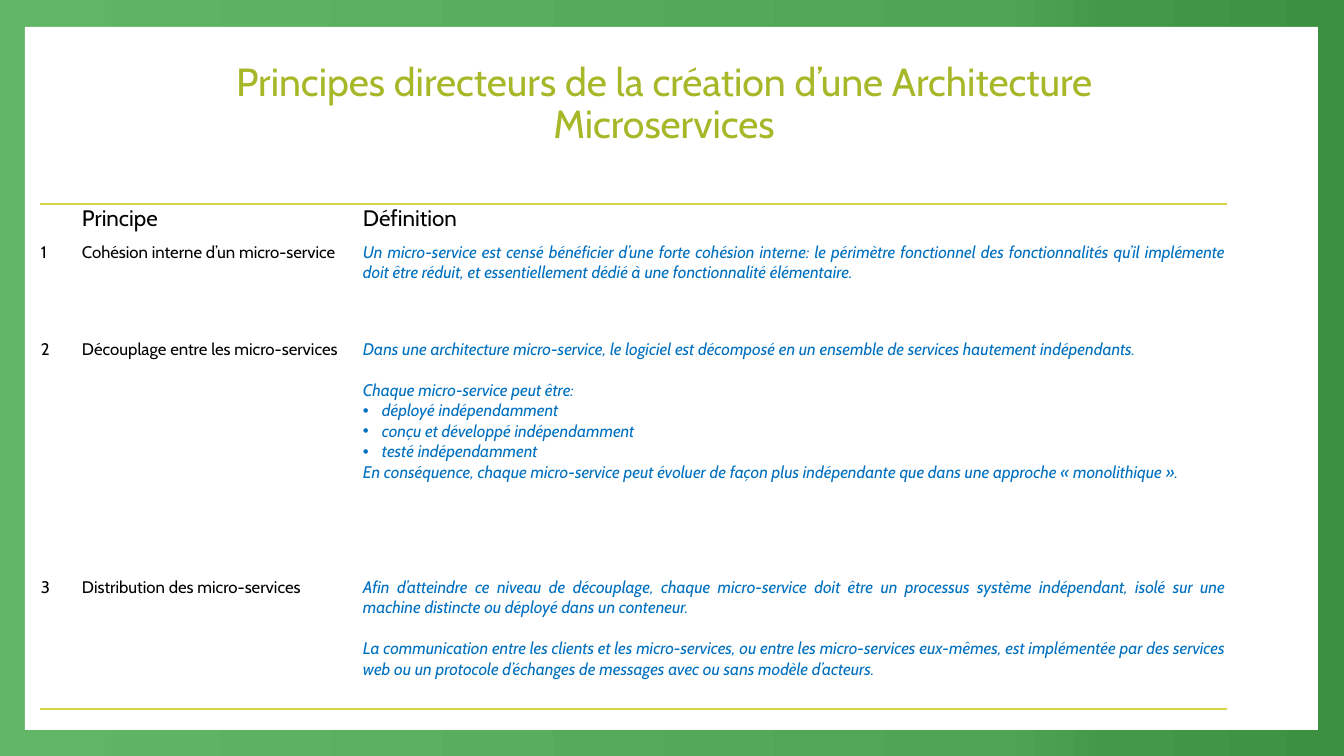
from dataclasses import dataclass

from lxml.etree import SubElement as Sub
from pptx import Presentation
from pptx.dml.color import RGBColor
from pptx.enum.shapes import MSO_SHAPE as Shape
from pptx.enum.text import MSO_ANCHOR as Anchor, MSO_AUTO_SIZE as Fit, PP_ALIGN as Align
from pptx.oxml.ns import qn
from pptx.util import Emu, Pt

FONT = "Cabin"
WHITE = RGBColor(0xFF, 0xFF, 0xFF)
BLACK = RGBColor(0x00, 0x00, 0x00)
BLUE = RGBColor(0x00, 0x70, 0xC0)
LIME = RGBColor(0xA6, 0xB7, 0x27)
GOLD = RGBColor(0xD7, 0xD4, 0x47)
GREENS = [
    (0, RGBColor(0x61, 0xB6, 0x65)),
    (74, RGBColor(0x4F, 0xA5, 0x53)),
    (83, RGBColor(0x43, 0x99, 0x47)),
    (100, RGBColor(0x3B, 0x91, 0x3F)),
]
NO_STYLE = "{2D5ABB26-0587-4C30-8999-92F81FD0307C}"
COLS = [41, 281, 865]
ROWS = [37, 97, 238, 133]
INDENT = 19
GAP = 14.6  # points, one line of 12 pt text


@dataclass
class Para:
    text: str
    size: int = 12
    color: RGBColor = BLACK
    italic: bool = False
    align: Align | None = None
    gap: float = 0
    bullet: bool = False


def px(n: int) -> Emu:
    return Emu(round(n * 12192000 / 1344))


def note(text: str, gap: float = 0, bullet: bool = False) -> Para:
    return Para(text, color=BLUE, italic=True, align=Align.JUSTIFY, gap=gap, bullet=bullet)


HEAD = ["", "Principe", "Définition"]
RULES = [
    ("Cohésion interne d’un micro-service", [
        note("Un micro-service est censé bénéficier d’une forte cohésion interne: "
             "le périmètre fonctionnel des fonctionnalités qu’il implémente doit être "
             "réduit, et essentiellement dédié à une fonctionnalité élémentaire."),
    ]),
    ("Découplage entre les micro-services", [
        note("Dans une architecture micro-service, le logiciel est décomposé en un "
             "ensemble de services hautement indépendants."),
        note("Chaque micro-service peut être:", gap=GAP),
        note("déployé indépendamment", bullet=True),
        note("conçu et développé indépendamment", bullet=True),
        note("testé indépendamment", bullet=True),
        note("En conséquence, chaque micro-service peut évoluer de façon plus "
             "indépendante que dans une approche « monolithique »."),
    ]),
    ("Distribution des micro-services", [
        note("Afin d’atteindre ce niveau de découplage, chaque micro-service doit être "
             "un processus système indépendant, isolé sur une machine distincte ou "
             "déployé dans un conteneur."),
        note("La communication entre les clients et les micro-services, ou entre les "
             "micro-services eux-mêmes, est implémentée par des services web ou un "
             "protocole d’échanges de messages avec ou sans modèle d’acteurs.", gap=GAP),
    ]),
]


def write(frame, paras: list[Para]) -> None:
    for i, item in enumerate(paras):
        para = frame.add_paragraph() if i else frame.paragraphs[0]
        para.alignment = item.align
        para.space_before = Pt(item.gap)
        run = para.add_run()
        run.text = item.text
        font = run.font
        font.name, font.size, font.italic = FONT, Pt(item.size), item.italic
        font.color.rgb = item.color
        if item.bullet:
            props = para._p.get_or_add_pPr()
            props.set("marL", str(px(INDENT)))
            props.set("indent", str(-px(INDENT)))
            Sub(props, qn("a:buFont"), typeface="Arial")
            Sub(props, qn("a:buChar"), char="•")


def edge(cell, side: str) -> None:
    props = cell._tc.get_or_add_tcPr()
    line = Sub(props, qn(f"a:{side}"), w=str(Pt(1)))
    fill = Sub(line, qn("a:solidFill"))
    Sub(fill, qn("a:srgbClr"), val=str(GOLD))
    props.insert(0, line)


def paint(slide) -> None:
    fill = slide.background.fill
    fill.gradient()
    fill.gradient_angle = 0
    stops = slide._element.find(f".//{qn('a:gsLst')}")
    for stop in list(stops):
        stops.remove(stop)
    for spot, color in GREENS:
        stop = Sub(stops, qn("a:gs"), pos=str(spot * 1000))
        Sub(stop, qn("a:srgbClr"), val=str(color))


def add_grid(slide) -> None:
    frame = slide.shapes.add_table(
        len(ROWS), len(COLS), px(40), px(204), px(sum(COLS)), px(sum(ROWS)))
    table = frame.table
    table.first_row = table.horz_banding = False
    table._tbl.tblPr.find(qn("a:tableStyleId")).text = NO_STYLE
    for col, width in zip(table.columns, COLS):
        col.width = px(width)
    for row, height in zip(table.rows, ROWS):
        row.height = px(height)

    cells = [[[Para(text, size=16)] if text else [] for text in HEAD]]
    for num, (name, notes) in enumerate(RULES, 1):
        cells.append([[Para(str(num))], [Para(name)], notes])
    for r, line in enumerate(cells):
        for c, paras in enumerate(line):
            cell = table.cell(r, c)
            cell.margin_left = cell.margin_right = px(1)
            cell.margin_top = cell.margin_bottom = px(1)
            cell.fill.background()
            write(cell.text_frame, paras)
            if r == 0:
                edge(cell, "lnT")
            elif r == len(ROWS) - 1:
                edge(cell, "lnB")


def main() -> None:
    deck = Presentation()
    deck.slide_width, deck.slide_height = px(1344), px(756)
    slide = deck.slides.add_slide(deck.slide_layouts[5])
    paint(slide)

    # White panel
    panel = slide.shapes.add_shape(Shape.RECTANGLE, px(25), px(27), px(1293), px(703))
    panel.shadow.inherit = False
    panel.fill.solid()
    panel.fill.fore_color.rgb = WHITE
    panel.line.fill.background()

    # Table of principles
    add_grid(slide)

    # Title, in front
    title = slide.shapes.title
    title.left, title.top, title.width, title.height = px(156), px(47), px(1016), px(115)
    frame = title.text_frame
    frame.word_wrap = True
    frame.auto_size = Fit.NONE
    frame.vertical_anchor = Anchor.MIDDLE
    write(frame, [Para(
        "Principes directeurs de la création d’une Architecture Microservices",
        size=28, color=LIME, align=Align.CENTER)])
    frame.paragraphs[0].line_spacing = 0.9
    slide.shapes._spTree.append(title._element)

    deck.save("out.pptx")


if __name__ == "__main__":
    main()
